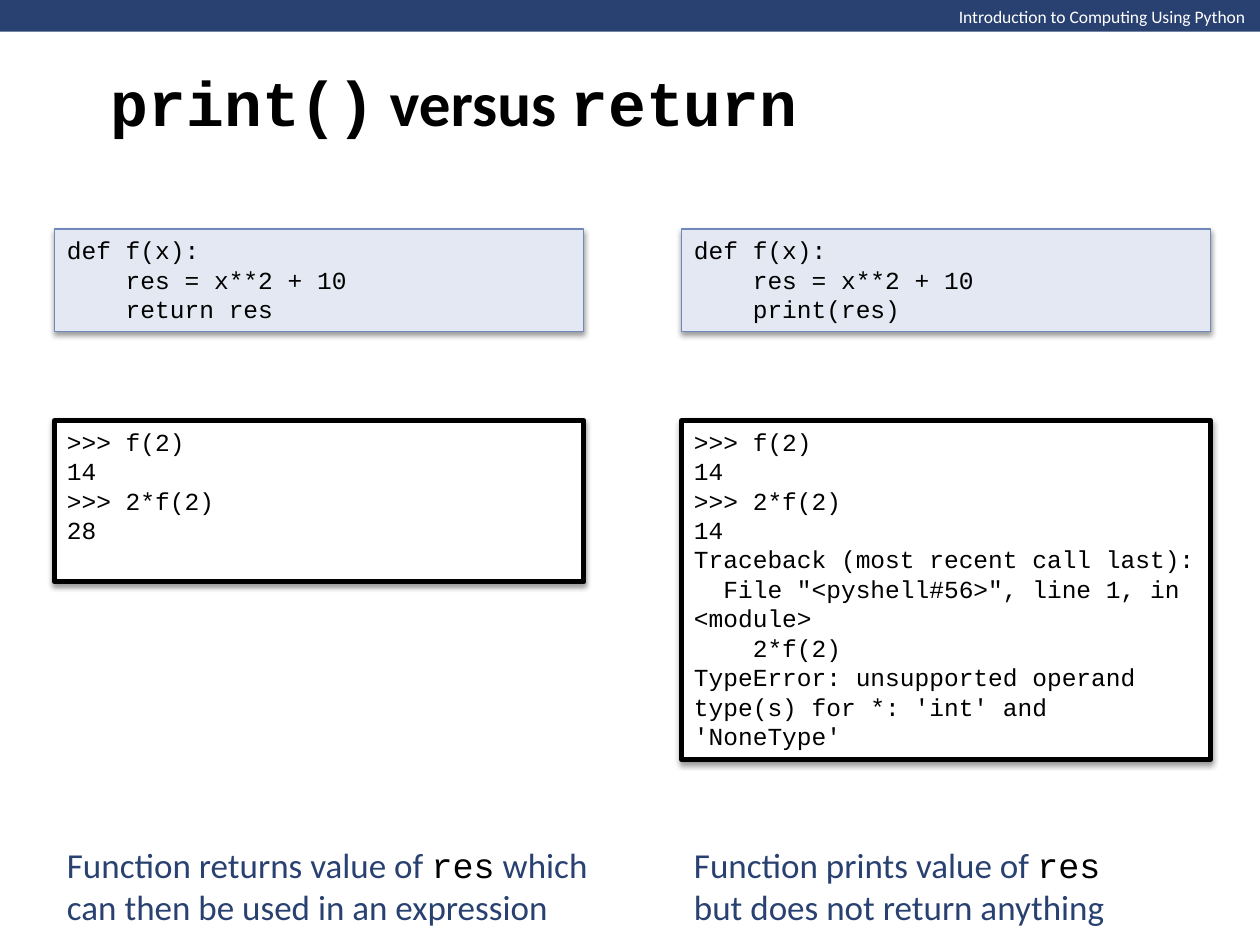
from dataclasses import dataclass

from lxml import etree
from pptx import Presentation
from pptx.dml.color import RGBColor
from pptx.enum import shapes, text
from pptx.oxml import ns
from pptx.util import Cm, Pt


@dataclass(frozen=True)
class Theme:
    navy: RGBColor = RGBColor.from_string("294171")
    pale: RGBColor = RGBColor.from_string("E3E8F2")
    edge: RGBColor = RGBColor.from_string("7088BA")
    black: RGBColor = RGBColor.from_string("000000")
    white: RGBColor = RGBColor.from_string("FFFFFF")
    body_font: str = "Calibri"
    code_font: str = "Courier New"
    header_size: int = 10
    title_size: int = 36
    code_size: int = 14
    caption_size: int = 20


THEME = Theme()
COLUMNS = (1.1, 13.74)
BOX_WIDTH = 10.67

FUNCTIONS = (
    "def f(x):\n    res = x**2 + 10\n    return res",
    "def f(x):\n    res = x**2 + 10\n    print(res)",
)
SESSIONS = (
    (3.25, ">>> f(2)\n14\n>>> 2*f(2)\n28"),
    (6.83, ">>> f(2)\n14\n>>> 2*f(2)\n14\n"
           "Traceback (most recent call last):\n"
           '  File "<pyshell#56>", line 1, in <module>\n'
           "    2*f(2)\n"
           "TypeError: unsupported operand type(s) for *: 'int' and 'NoneType'"),
)
# Each caption: width, wrapping, and lines of alternating prose and code.
CAPTIONS = (
    (11.05, True, [("Function returns value of ", "res",
                    " which can then be used in an expression")]),
    (8.89, False, [("Function prints value of ", "res"),
                   ("but does not return anything",)]),
)


def style_run(run, font, size, color, bold=False):
    run.font.name = font
    run.font.size = Pt(size)
    run.font.color.rgb = color
    run.font.bold = bold


def add_mixed_runs(paragraph, parts, size, color, code_first=False, bold=False):
    """Fill a paragraph with parts that alternate between prose and code."""
    for index, part in enumerate(parts):
        is_code = (index % 2 == 1) != code_first
        run = paragraph.add_run()
        run.text = part
        style_run(run, THEME.code_font if is_code else THEME.body_font, size,
                  THEME.black if is_code else color, bold)


def add_soft_shadow(shape):
    effects = etree.SubElement(shape._element.spPr, ns.qn("a:effectLst"))
    shadow = etree.SubElement(
        effects, ns.qn("a:outerShdw"), blurRad=str(Pt(3.1)), dist=str(Pt(1.6)),
        dir="5400000", rotWithShape="0")
    color = etree.SubElement(shadow, ns.qn("a:srgbClr"), val=str(THEME.black))
    etree.SubElement(color, ns.qn("a:alpha"), val="38000")


def add_header(slide, width):
    bar = slide.shapes.add_shape(shapes.MSO_SHAPE.RECTANGLE, 0, 0, width, Cm(0.64))
    bar.shadow.inherit = False
    bar.fill.solid()
    bar.fill.fore_color.rgb = THEME.navy
    bar.line.fill.background()
    label = slide.shapes.add_textbox(Cm(19.08), 0, Cm(6.35), Cm(0.68))
    frame = label.text_frame
    frame.word_wrap = False
    frame.text = "Introduction to Computing Using Python"
    style_run(frame.paragraphs[0].runs[0], THEME.body_font, THEME.header_size,
              THEME.white)


def set_title(slide, parts):
    title = slide.shapes.title
    title.left, title.top = Cm(1.98), Cm(0)
    title.width, title.height = Cm(21.59), Cm(4.09)
    frame = title.text_frame
    frame.auto_size = text.MSO_AUTO_SIZE.NONE
    frame.vertical_anchor = text.MSO_ANCHOR.MIDDLE
    paragraph = frame.paragraphs[0]
    paragraph.alignment = text.PP_ALIGN.LEFT
    add_mixed_runs(paragraph, parts, THEME.title_size, THEME.black,
                   code_first=True, bold=True)


def add_code_box(slide, left, top, height, code, fill, line, line_width):
    box = slide.shapes.add_shape(shapes.MSO_SHAPE.RECTANGLE, Cm(left), Cm(top),
                                 Cm(BOX_WIDTH), Cm(height))
    box.fill.solid()
    box.fill.fore_color.rgb = fill
    box.line.color.rgb = line
    box.line.width = Pt(line_width)
    add_soft_shadow(box)
    frame = box.text_frame
    frame.word_wrap = True
    frame.vertical_anchor = text.MSO_ANCHOR.TOP
    frame.text = code
    for paragraph in frame.paragraphs:
        paragraph.alignment = text.PP_ALIGN.LEFT
        for run in paragraph.runs:
            style_run(run, THEME.code_font, THEME.code_size, THEME.black)


def add_caption(slide, left, width, wrap, lines):
    caption = slide.shapes.add_textbox(Cm(left), Cm(16.87), Cm(width), Cm(1.96))
    frame = caption.text_frame
    frame.word_wrap = wrap
    frame.vertical_anchor = text.MSO_ANCHOR.MIDDLE
    for index, parts in enumerate(lines):
        paragraph = frame.add_paragraph() if index else frame.paragraphs[0]
        add_mixed_runs(paragraph, parts, THEME.caption_size, THEME.navy)


def main():
    presentation = Presentation()
    presentation.slide_width, presentation.slide_height = Cm(25.4), Cm(19.05)
    slide = presentation.slides.add_slide(presentation.slide_layouts[5])

    add_header(slide, presentation.slide_width)
    set_title(slide, ("print()", " versus ", "return"))
    for left, function, session, caption in zip(COLUMNS, FUNCTIONS, SESSIONS, CAPTIONS):
        add_code_box(slide, left, 4.62, 2.06, function, THEME.pale, THEME.edge, 0.75)
        add_code_box(slide, left, 8.48, *session, THEME.white, THEME.black, 3)
        add_caption(slide, left, *caption)

    presentation.save("out.pptx")


if __name__ == "__main__":
    main()
